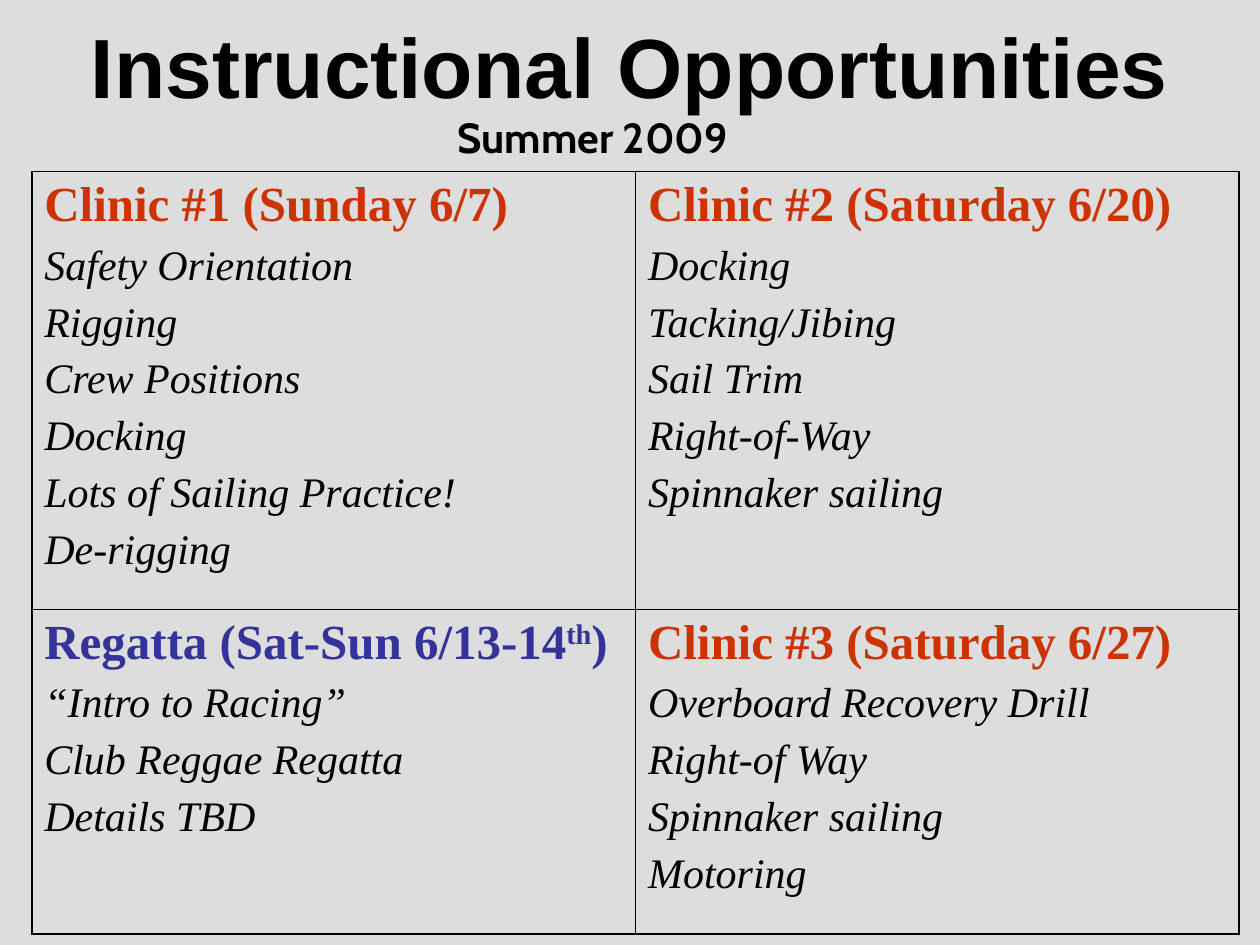
from dataclasses import dataclass

from lxml import etree
from pptx import Presentation
from pptx.dml.color import RGBColor
from pptx.enum.text import MSO_ANCHOR, MSO_AUTO_SIZE, PP_ALIGN
from pptx.oxml.ns import qn
from pptx.util import Cm, Pt

TOP = MSO_ANCHOR.TOP
NO_FIT = MSO_AUTO_SIZE.NONE
LEFT, CENTER = PP_ALIGN.LEFT, PP_ALIGN.CENTER
TITLE_ONLY = 5


@dataclass(frozen=True)
class Theme:
    """Colours, fonts and sizes of the slide."""
    background: str = "DDDDDD"
    ink: str = "000000"
    clinic: str = "CC3300"
    regatta: str = "333399"
    title_font: str = "Arial"
    subtitle_font: str = "Cabin"
    body_font: str = "Times New Roman"
    title_size: int = 48
    subtitle_size: int = 24
    heading_size: int = 28
    item_size: int = 24
    outer_line: float = 1.08
    inner_line: float = 0.45


THEME = Theme()

SESSIONS = [
    [
        (["Clinic #1 (Sunday 6/7)"], THEME.clinic,
         ["Safety Orientation", "Rigging", "Crew Positions", "Docking",
          "Lots of Sailing Practice!", "De-rigging"]),
        (["Clinic #2 (Saturday 6/20)"], THEME.clinic,
         ["Docking", "Tacking/Jibing", "Sail Trim", "Right-of-Way",
          "Spinnaker sailing"]),
    ],
    [
        (["Regatta (Sat-Sun 6/13-14", "th", ")"], THEME.regatta,
         ["“Intro to Racing”", "Club Reggae Regatta", "Details TBD"]),
        (["Clinic #3 (Saturday 6/27)"], THEME.clinic,
         ["Overboard Recovery Drill", "Right-of Way", "Spinnaker sailing",
          "Motoring"]),
    ],
]


def write(p, text, *, size, font, color, bold=False, italic=False,
          align=LEFT, before=0, superscript=False):
    """Add one formatted run to a paragraph."""
    p.alignment = align
    p.space_before = Pt(before)
    r = p.add_run()
    r.text = text
    r.font.size, r.font.name = Pt(size), font
    r.font.bold, r.font.italic = bold, italic
    r.font.color.rgb = RGBColor.from_string(color)
    if superscript:
        r.font._element.set("baseline", "30000")


class SlideBuilder:
    """Hold the theme and the current slide."""

    def __init__(self, prs, theme):
        """Start a title-only slide on a plain background."""
        self.theme = theme
        self.s = prs.slides.add_slide(prs.slide_layouts[TITLE_ONLY])
        fill = self.s.background.fill
        fill.solid()
        fill.fore_color.rgb = RGBColor.from_string(theme.background)

    def place(self, sp, x, y, w, h, top_inset):
        """Position a text shape and return its first paragraph."""
        sp.left, sp.top, sp.width, sp.height = Cm(x), Cm(y), Cm(w), Cm(h)
        tf = sp.text_frame
        tf.word_wrap, tf.auto_size, tf.vertical_anchor = True, NO_FIT, TOP
        tf.margin_left = tf.margin_right = Cm(0.25)
        tf.margin_top, tf.margin_bottom = Cm(top_inset), Cm(0)
        return tf.paragraphs[0]

    def title(self, text, x, y, w, h):
        """Fill the title placeholder."""
        t = self.theme
        p = self.place(self.s.shapes.title, x, y, w, h, 0.3)
        write(p, text, size=t.title_size, font=t.title_font, color=t.ink,
              bold=True, align=CENTER)

    def subtitle(self, text, x, y, w, h):
        """Add the centred line under the title."""
        t = self.theme
        sp = self.s.shapes.add_textbox(Cm(x), Cm(y), Cm(w), Cm(h))
        p = self.place(sp, x, y, w, h, 0.13)
        write(p, text, size=t.subtitle_size, font=t.subtitle_font,
              color=t.ink, bold=True, align=CENTER)

    def table(self, rows, x, y, w, heights):
        """Add the grid of sessions."""
        count = len(rows[0])
        table = self.s.shapes.add_table(
            len(rows), count, Cm(x), Cm(y), Cm(w), Cm(sum(heights))).table
        table.first_row = table.horz_banding = False
        for i, row in enumerate(rows):
            table.rows[i].height = Cm(heights[i])
            for j, session in enumerate(row):
                cell = table.cell(i, j)
                self.session(cell, *session)
                self.borders(cell, L=j == 0, R=j == count - 1,
                             T=i == 0, B=i == len(rows) - 1)

    def session(self, cell, heading, color, items):
        """Write a heading and its items into a cell."""
        t = self.theme
        cell.fill.background()
        cell.vertical_anchor = TOP
        tf = cell.text_frame
        for k, part in enumerate(heading):
            write(tf.paragraphs[0], part, size=t.heading_size,
                  font=t.body_font, color=color, bold=True, before=7,
                  superscript=k == 1)
        for item in items:
            write(tf.add_paragraph(), item, size=t.item_size,
                  font=t.body_font, color=t.ink, italic=True, before=6)

    def borders(self, cell, **outer):
        """Draw heavier lines on the outer sides of a cell."""
        t = self.theme
        tc_pr = cell._tc.get_or_add_tcPr()
        for k, (side, is_outer) in enumerate(outer.items()):
            width = Pt(t.outer_line if is_outer else t.inner_line)
            ln = etree.Element(qn(f"a:ln{side}"), w=str(int(width)))
            fill = etree.SubElement(ln, qn("a:solidFill"))
            etree.SubElement(fill, qn("a:srgbClr"), val=t.ink)
            tc_pr.insert(k, ln)


def main():
    """Build and save the slide."""
    prs = Presentation()
    prs.slide_width, prs.slide_height = Cm(25.4), Cm(19.05)
    slide = SlideBuilder(prs, THEME)
    slide.title("Instructional Opportunities", 0, 0, 25.4, 2.29)
    slide.subtitle("Summer 2009", 7.82, 2.11, 8.26, 1.27)
    slide.table(SESSIONS, 0.64, 3.46, 24.34, [8.82, 6.55])
    prs.save("out.pptx")


if __name__ == "__main__":
    main()
